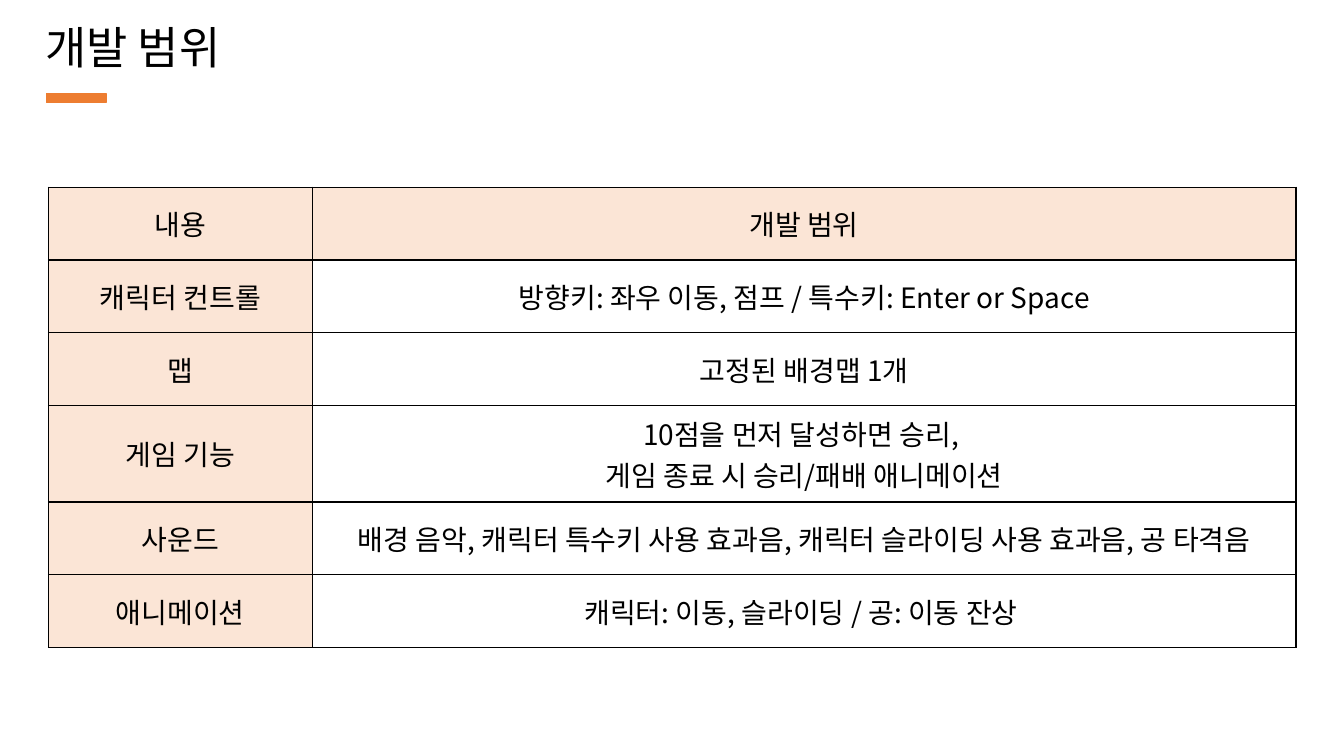
from lxml import etree
from pptx import Presentation
from pptx.dml.color import RGBColor
from pptx.enum.shapes import MSO_SHAPE
from pptx.enum.text import MSO_ANCHOR, MSO_AUTO_SIZE, PP_ALIGN
from pptx.oxml.ns import qn
from pptx.util import Cm, Pt

RECT = MSO_SHAPE.RECTANGLE
MIDDLE = MSO_ANCHOR.MIDDLE
GROW = MSO_AUTO_SIZE.SHAPE_TO_FIT_TEXT
LEFT, CENTER = PP_ALIGN.LEFT, PP_ALIGN.CENTER
BLACK = RGBColor(0x00, 0x00, 0x00)
ORANGE = RGBColor(0xED, 0x7D, 0x31)
PEACH = RGBColor(0xFB, 0xE5, 0xD6)
FONT = "Noto Sans CJK KR"

ROWS = [
    ("내용", "개발 범위"),
    ("캐릭터 컨트롤", "방향키: 좌우 이동, 점프 / 특수키: Enter or Space"),
    ("맵", "고정된 배경맵 1개"),
    ("게임 기능", "10점을 먼저 달성하면 승리, \n게임 종료 시 승리/패배 애니메이션"),
    ("사운드", "배경 음악, 캐릭터 특수키 사용 효과음, 캐릭터 슬라이딩 사용 효과음, 공 타격음"),
    ("애니메이션", "캐릭터: 이동, 슬라이딩 / 공: 이동 잔상 "),
]
WIDTHS = [6.65, 24.79]
HEIGHTS = [1.83, 1.83, 1.83, 2.44, 1.83, 1.83]


def write(frame, text, size=20, align=CENTER, space=None, after=None):
    """Fill a text frame, one paragraph per line of text."""
    frame.text = text
    for par in frame.paragraphs:
        par.alignment = align
        par.line_spacing = space
        par.space_after = after
        for run in par.runs:
            run.font.name = FONT
            run.font.size = Pt(size)
            run.font.bold = False
            run.font.color.rgb = BLACK
            east = etree.SubElement(run.font._element, qn("a:ea"))
            east.set("typeface", FONT)


class Page:
    def __init__(self, deck):
        self.slide = deck.slides.add_slide(deck.slide_layouts[5])

    def title(self, text, x, y, w, h):
        box = self.slide.shapes.title
        box.left, box.top, box.width, box.height = map(Cm, (x, y, w, h))
        frame = box.text_frame
        frame.vertical_anchor = MIDDLE
        frame.auto_size = GROW
        write(frame, text, size=32, align=LEFT, space=0.9, after=Pt(6))

    def bar(self, x, y, w, h, color):
        bar = self.slide.shapes.add_shape(RECT, *map(Cm, (x, y, w, h)))
        bar.shadow.inherit = False
        bar.fill.solid()
        bar.fill.fore_color.rgb = color
        bar.line.color.rgb = color
        bar.line.width = Pt(1)

    def table(self, rows, x, y, widths, heights):
        area = map(Cm, (x, y, sum(widths), sum(heights)))
        grid = self.slide.shapes.add_table(len(rows), len(widths), *area).table
        for col, width in zip(grid.columns, widths):
            col.width = Cm(width)
        for row, height in zip(grid.rows, heights):
            row.height = Cm(height)
        for r, texts in enumerate(rows):
            for c, text in enumerate(texts):
                self.cell(grid.cell(r, c), text, head=r == 0 or c == 0)

    def cell(self, cell, text, head):
        cell.vertical_anchor = MIDDLE
        write(cell.text_frame, text)
        # Borders come before the fill in the cell properties
        props = cell._tc.get_or_add_tcPr()
        for side in ("a:lnL", "a:lnR", "a:lnT", "a:lnB"):
            line = etree.SubElement(props, qn(side), w=str(Pt(1)))
            fill = etree.SubElement(line, qn("a:solidFill"))
            etree.SubElement(fill, qn("a:srgbClr"), val=str(BLACK))
        if head:
            cell.fill.solid()
            cell.fill.fore_color.rgb = PEACH
        else:
            cell.fill.background()


def main():
    deck = Presentation()
    deck.slide_width, deck.slide_height = Cm(33.87), Cm(19.05)
    page = Page(deck)

    # Heading with accent bar
    page.title("개발 범위", 0.89, 0.51, 7.59, 1.5)
    page.bar(1.17, 2.36, 1.5, 0.23, ORANGE)

    # Scope table
    page.table(ROWS, 1.22, 4.72, WIDTHS, HEIGHTS)

    deck.save("out.pptx")


if __name__ == "__main__":
    main()
